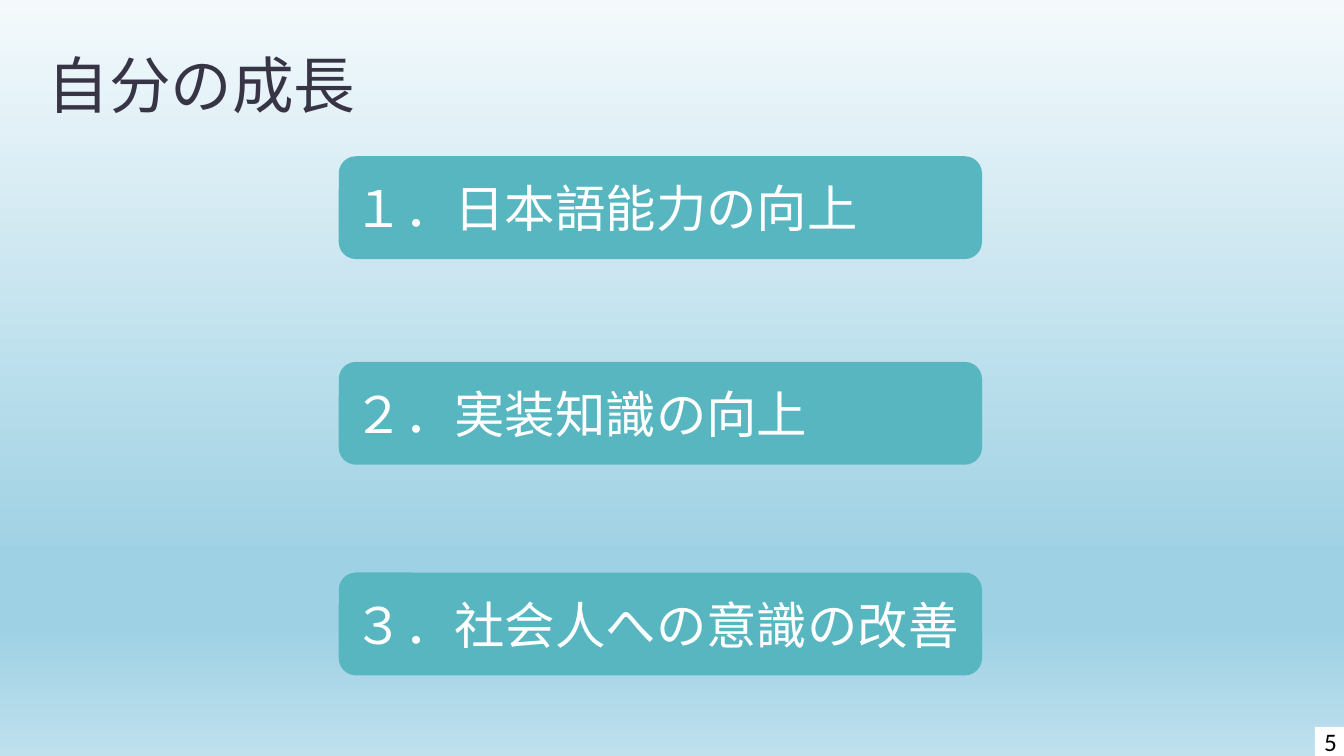
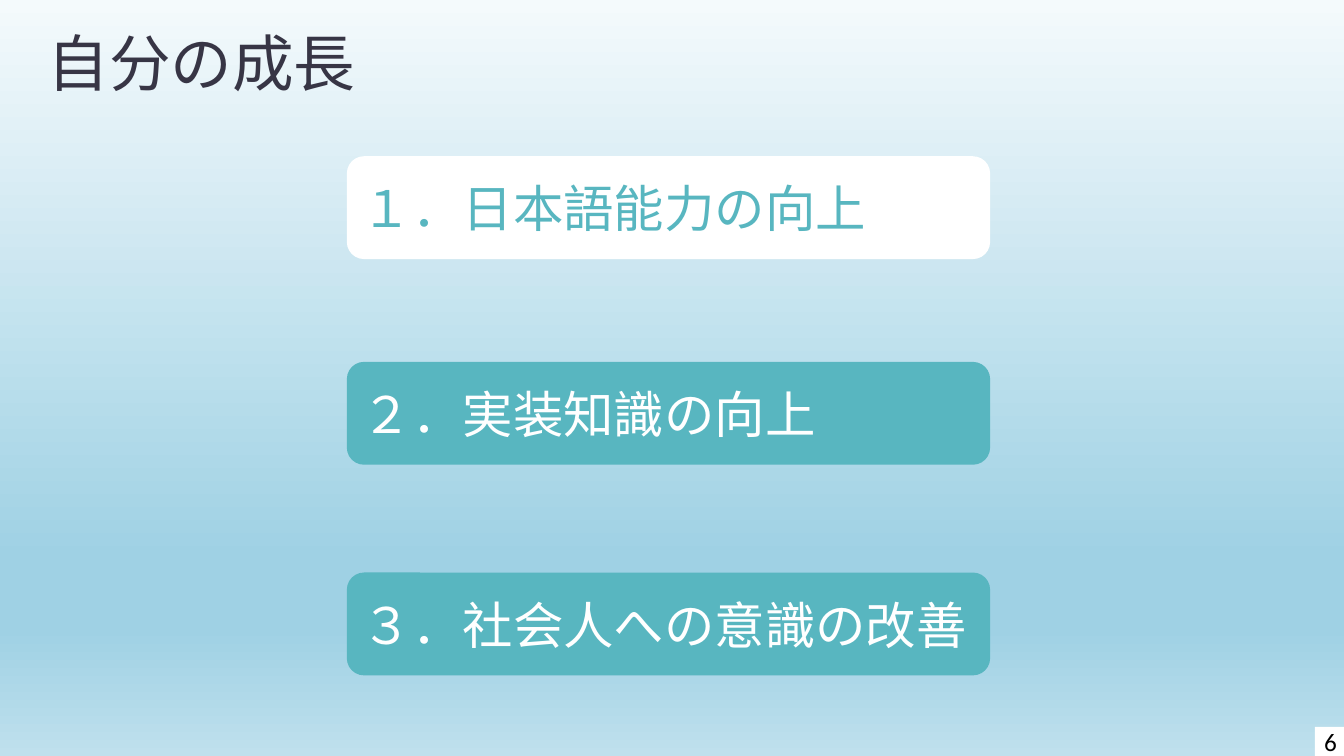
from copy import deepcopy
from dataclasses import dataclass

from lxml.etree import SubElement
from pptx import Presentation
from pptx.dml.color import RGBColor
from pptx.enum.shapes import MSO_SHAPE
from pptx.enum.text import MSO_ANCHOR, MSO_AUTO_SIZE, PP_ALIGN
from pptx.oxml.ns import qn
from pptx.util import Inches, Pt


# Shared look
@dataclass(frozen=True)
class Theme:
    ink: str = "373545"
    teal: str = "58B6C0"
    white: str = "FFFFFF"
    black: str = "000000"
    sky: tuple = ((0, "F4FAFC"), (74, "9FD1E4"), (83, "9FD1E4"), (100, "BFE0ED"))
    latin: str = "Calibri"
    asian: str = "Noto Sans CJK JP"
    head: int = 44
    item: int = 36
    page: int = 18


THEME = Theme()
TITLE = "自分の成長"
ITEMS = ("１．日本語能力の向上", "２．実装知識の向上", "３．社会人への意識の改善")
TOPS = (1.55, 3.59, 5.68)

# Frame formats
HEAD = dict(vertical_anchor=MSO_ANCHOR.BOTTOM, word_wrap=True,
            auto_size=MSO_AUTO_SIZE.NONE)
CARD = dict(vertical_anchor=MSO_ANCHOR.MIDDLE, word_wrap=True)
BADGE = dict(CARD, margin_left=0, margin_right=0, margin_top=0, margin_bottom=0)

# Page number, title top and width, card left, highlighted item
SLIDES = (
    (5, 0.47, 3.86, 3.36, None),
    (6, 0.26, 3.31, 3.44, 0),
)


def apply(target, form):
    for name, value in form.items():
        setattr(target, name, value)


def paint_sky(master):
    """Give the master its vertical gradient."""
    fill = master.background.fill
    fill.gradient()
    fill.gradient_angle = 270
    stops = master.element.find(".//" + qn("a:gsLst"))
    for _ in range(len(THEME.sky) - len(stops)):
        stops.append(deepcopy(stops[-1]))
    for stop, (place, color) in zip(fill.gradient_stops, THEME.sky):
        stop.position = place / 100
        stop.color.rgb = RGBColor.from_string(color)


def write(shape, text, size, color, frame, font=THEME.latin,
          align=PP_ALIGN.LEFT, lead=1.0):
    body = shape.text_frame
    apply(body, frame)
    para = body.paragraphs[0]
    apply(para, dict(alignment=align, line_spacing=lead))
    run = para.add_run()
    run.text = text
    apply(run.font, dict(size=Pt(size), name=font))
    run.font.color.rgb = RGBColor.from_string(color)
    # East Asian typeface
    SubElement(run._r.get_or_add_rPr(), qn("a:ea"), typeface=THEME.asian)


def add_title(slide, top, width):
    title = slide.shapes.title
    apply(title, dict(left=Inches(0.37), top=Inches(top),
                      width=Inches(width), height=Inches(0.77)))
    write(title, TITLE, THEME.head, THEME.ink, HEAD, font=THEME.asian, lead=0.8)


def add_box(slide, kind, box, color):
    shape = slide.shapes.add_shape(kind, *map(Inches, box))
    shape.shadow.inherit = False
    shape.fill.solid()
    shape.fill.fore_color.rgb = RGBColor.from_string(color)
    shape.line.fill.background()
    return shape


def add_cards(slide, left, active):
    for index, (text, top) in enumerate(zip(ITEMS, TOPS)):
        back, ink = THEME.teal, THEME.white
        if index == active:
            back, ink = ink, back
        card = add_box(slide, MSO_SHAPE.ROUNDED_RECTANGLE,
                       (left, top, 6.38, 1.02), back)
        write(card, text, THEME.item, ink, CARD)


def add_page(slide, number):
    badge = add_box(slide, MSO_SHAPE.RECTANGLE,
                    (13.04, 7.21, 0.31, 0.29), THEME.white)
    write(badge, str(number), THEME.page, THEME.black, BADGE,
          align=PP_ALIGN.CENTER)


def main():
    deck = Presentation()
    apply(deck, dict(slide_width=Inches(13.33), slide_height=Inches(7.5)))
    paint_sky(deck.slide_master)
    for number, top, width, left, active in SLIDES:
        slide = deck.slides.add_slide(deck.slide_layouts[5])
        add_title(slide, top, width)
        add_cards(slide, left, active)
        add_page(slide, number)
    deck.save("out.pptx")


if __name__ == "__main__":
    main()
